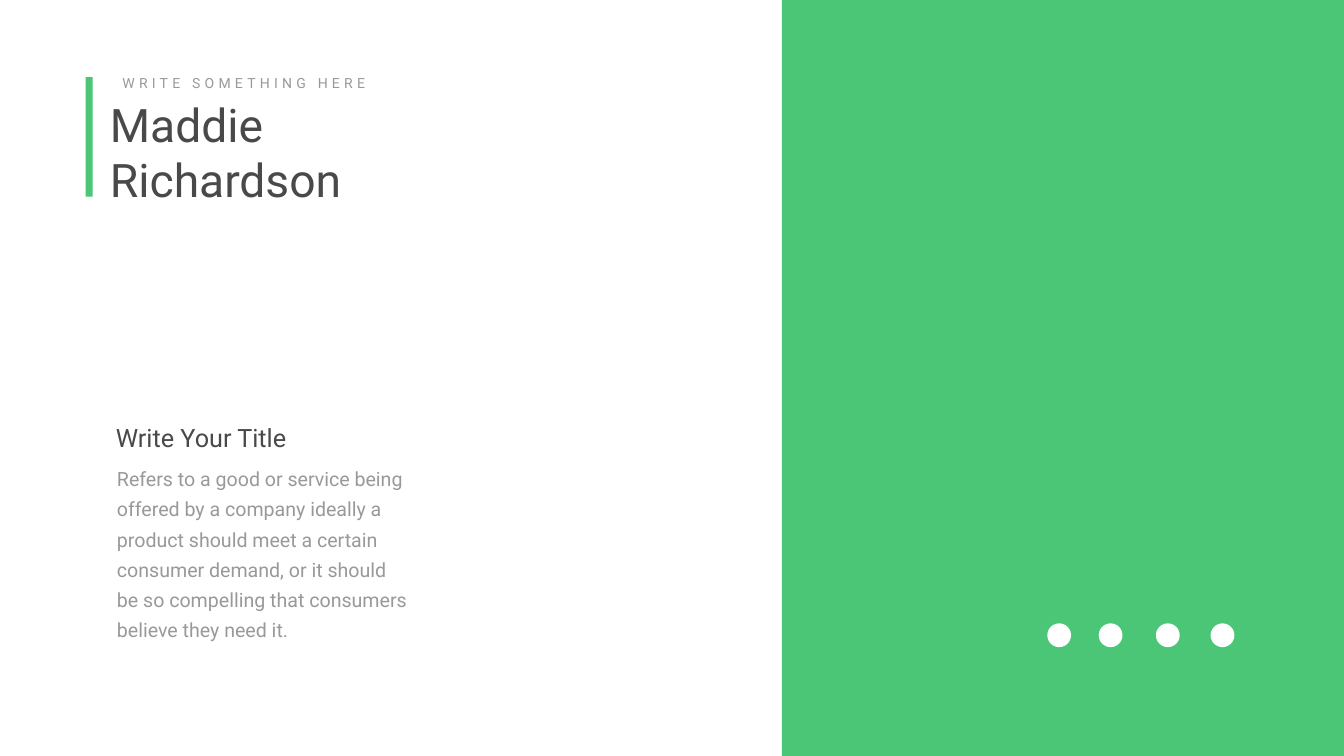
"""Build a profile slide with a name, a short text and a green side panel."""
from pptx import Presentation
from pptx.dml.color import RGBColor
from pptx.enum.shapes import MSO_SHAPE
from pptx.enum.text import MSO_ANCHOR, MSO_AUTO_SIZE, PP_ALIGN
from pptx.oxml.xmlchemy import OxmlElement
from pptx.util import Pt

COLORS = {"green": "4BC676", "dark": "494949", "gray": "999999", "white": "FFFFFF"}
FONT = "Roboto"
SLIDE_WIDTH, SLIDE_HEIGHT = 1919.52, 1080

NAME = {"text": "Maddie Richardson", "box": (149.76, 133.92, 424.08, 167.04),
        "size": 66, "color": "dark"}
BODY = {"text": "Refers to a good or service being offered by a company ideally a product "
                "should meet a certain consumer demand, or it should be so compelling that "
                "consumers believe they need it.",
        "box": (149.76, 649.44, 456.48, 274.32), "size": 28, "color": "gray",
        "insets": (17.28, 8.64), "line_spacing": 43}
LABELS = [
    {"text": "WRITE SOMETHING HERE", "box": (167.76, 102.24, 429.12, 31.68),
     "size": 20, "color": "gray", "tracking": 6},
    {"text": "Write Your Title", "box": (158.4, 599.04, 389.52, 51.12),
     "size": 36, "color": "dark"},
]
PANEL_LEFT = 1116.72
BLOCKS = [
    (122.4, 110.16, 10.08, 170.64),
    (PANEL_LEFT, 0, SLIDE_WIDTH - PANEL_LEFT, SLIDE_HEIGHT),
]
ICON_CENTERS = [1512.72, 1586.16, 1667.88, 1746]
ICON_MIDDLE, ICON_SIZE = 907.5, 34


def color(name):
    return RGBColor.from_string(COLORS[name])


def write_text(shape, content):
    shape.left, shape.top, shape.width, shape.height = map(Pt, content["box"])
    frame = shape.text_frame
    frame.word_wrap = True
    frame.auto_size = MSO_AUTO_SIZE.NONE
    frame.vertical_anchor = MSO_ANCHOR.TOP
    horizontal, vertical = content.get("insets", (7.2, 3.6))
    frame.margin_left = frame.margin_right = Pt(horizontal)
    frame.margin_top = frame.margin_bottom = Pt(vertical)
    paragraph = frame.paragraphs[0]
    paragraph.alignment = PP_ALIGN.LEFT
    paragraph.space_before = Pt(0)
    if "line_spacing" in content:
        paragraph.line_spacing = Pt(content["line_spacing"])
    run = paragraph.add_run()
    run.text = content["text"]
    run.font.name = FONT
    run.font.size = Pt(content["size"])
    run.font.color.rgb = color(content["color"])
    if "tracking" in content:
        run.font._element.set("spc", str(content["tracking"] * 100))
    return paragraph


def remove_bullet(paragraph):
    properties = paragraph._p.get_or_add_pPr()
    properties.set("marL", "0")
    properties.set("indent", "0")
    properties.append(OxmlElement("a:buNone"))


def add_block(slide, kind, box, fill):
    shape = slide.shapes.add_shape(kind, *map(Pt, box))
    shape.shadow.inherit = False
    shape.fill.solid()
    shape.fill.fore_color.rgb = color(fill)
    shape.line.fill.background()


def main():
    presentation = Presentation()
    presentation.slide_width, presentation.slide_height = Pt(SLIDE_WIDTH), Pt(SLIDE_HEIGHT)
    slide = presentation.slides.add_slide(presentation.slide_layouts[1])
    slide.background.fill.solid()
    slide.background.fill.fore_color.rgb = color("white")

    write_text(slide.shapes.title, NAME)
    remove_bullet(write_text(slide.placeholders[1], BODY))
    for label in LABELS:
        write_text(slide.shapes.add_textbox(0, 0, 0, 0), label)
    for box in BLOCKS:
        add_block(slide, MSO_SHAPE.RECTANGLE, box, "green")
    for center in ICON_CENTERS:
        box = (center - ICON_SIZE / 2, ICON_MIDDLE - ICON_SIZE / 2, ICON_SIZE, ICON_SIZE)
        add_block(slide, MSO_SHAPE.OVAL, box, "white")

    presentation.save("out.pptx")


if __name__ == "__main__":
    main()
